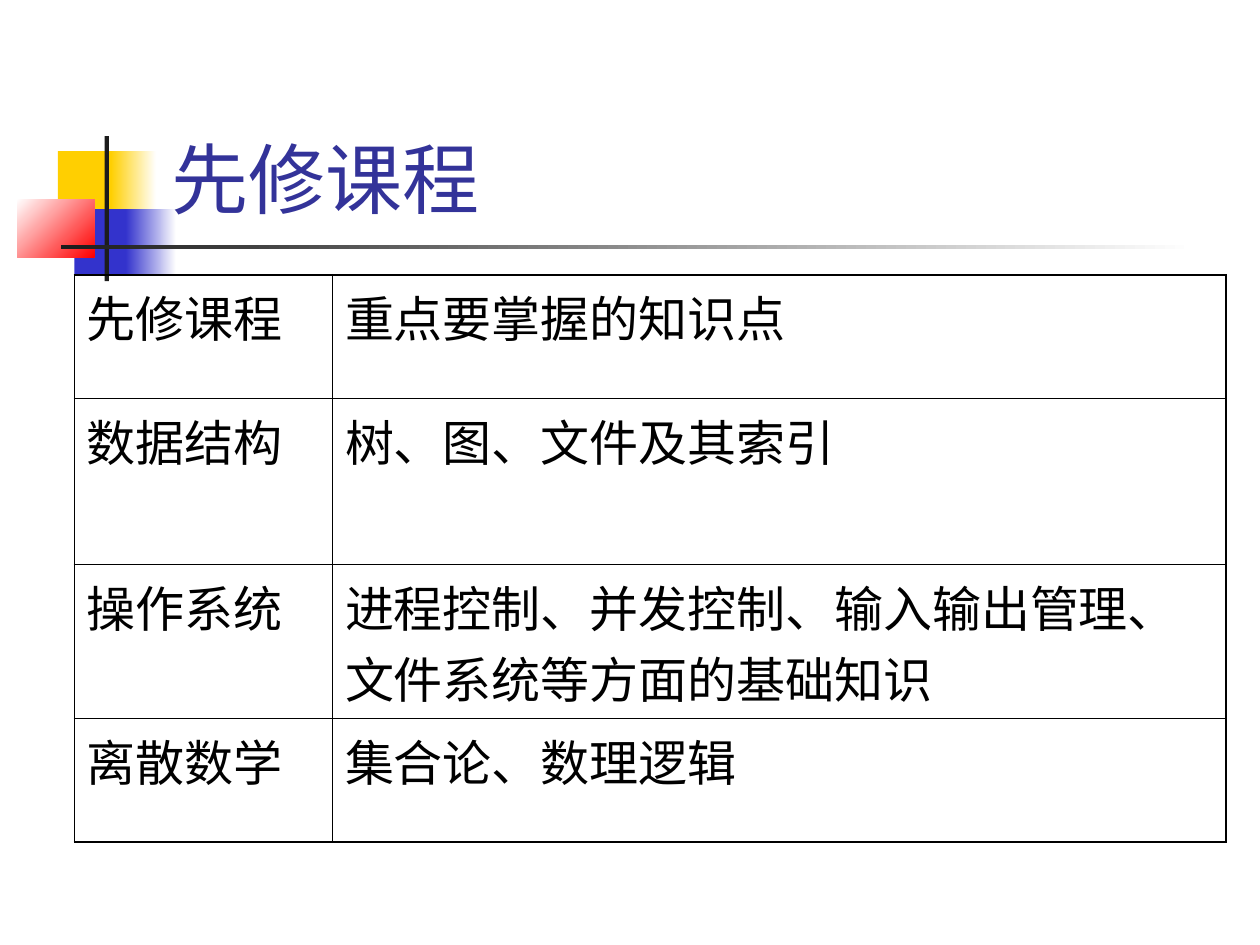
"""Build the slide that lists the prerequisite courses and their key topics."""
from dataclasses import dataclass
from typing import Optional

from lxml import etree
from pptx import Presentation
from pptx.dml.color import RGBColor
from pptx.enum.shapes import MSO_SHAPE
from pptx.enum.text import MSO_ANCHOR, MSO_AUTO_SIZE, PP_ALIGN
from pptx.oxml.ns import qn
from pptx.util import Pt

RECTANGLE = MSO_SHAPE.RECTANGLE
BOTTOM = MSO_ANCHOR.BOTTOM
TOP = MSO_ANCHOR.TOP
LEFT = PP_ALIGN.LEFT
NO_AUTOFIT = MSO_AUTO_SIZE.NONE

WHITE = RGBColor(0xFF, 0xFF, 0xFF)
BLACK = RGBColor(0x00, 0x00, 0x00)
YELLOW = RGBColor(0xFF, 0xCF, 0x01)
BLUE = RGBColor(0x33, 0x33, 0xCC)
RED = RGBColor(0xFF, 0x00, 0x00)
CHARCOAL = RGBColor(0x1C, 0x1C, 0x1C)
TITLE_BLUE = RGBColor(0x33, 0x33, 0x99)

FONT = "Karla"
OUTER_LINE = 1.08
INNER_LINE = 0.45


@dataclass
class Block:
    left: float
    top: float
    width: float
    height: float
    color: RGBColor
    fade_to: Optional[RGBColor] = None
    angle: float = 0


BLOCKS = [
    Block(33.1, 86.4, 34.6, 37.4, YELLOW),
    Block(63.4, 86.4, 25.9, 37.4, YELLOW, WHITE),
    Block(42.5, 119.5, 33.1, 37.4, BLUE),
    Block(72, 119.5, 28.8, 37.4, BLUE, WHITE),
    Block(10, 113.8, 44, 33.1, WHITE, RED, 315),
    Block(59.8, 77.8, 2.4, 82.8, CHARCOAL),
    Block(34.6, 140.1, 648, 2.4, CHARCOAL, WHITE),
]

COURSES = [
    ("先修课程", "重点要掌握的知识点"),
    ("数据结构", "树、图、文件及其索引"),
    ("操作系统", "进程控制、并发控制、输入输出管理、文件系统等方面的基础知识"),
    ("离散数学", "集合论、数理逻辑"),
]
COLUMN_WIDTHS = [147.5, 510.5]
ROW_HEIGHTS = [70.5, 95, 88, 70.5]


def draw_block(page, block: Block) -> None:
    shape = page.shapes.add_shape(
        RECTANGLE, Pt(block.left), Pt(block.top), Pt(block.width), Pt(block.height)
    )
    shape.shadow.inherit = False
    shape.line.fill.background()
    if block.fade_to is None:
        shape.fill.solid()
        shape.fill.fore_color.rgb = block.color
        return
    shape.fill.gradient()
    shape.fill.gradient_angle = block.angle
    for stop, color in zip(shape.fill.gradient_stops, (block.color, block.fade_to)):
        stop.color.rgb = color


def format_text(para, size: float, color: RGBColor) -> None:
    para.alignment = LEFT
    for span in para.runs:
        span.font.name = FONT
        span.font.size = Pt(size)
        span.font.bold = False
        span.font.color.rgb = color


def draw_title(page, text: str) -> None:
    title = page.shapes.title
    title.left, title.top = Pt(90.7), Pt(16.6)
    title.width, title.height = Pt(613.4), Pt(115.2)
    frame = title.text_frame
    frame.text = text
    frame.word_wrap = True
    frame.auto_size = NO_AUTOFIT
    frame.vertical_anchor = BOTTOM
    format_text(frame.paragraphs[0], 44, TITLE_BLUE)
    page.shapes.element.append(title.element)


def add_border(cell, side: str, width: float) -> None:
    properties = cell._tc.get_or_add_tcPr()
    line = etree.SubElement(properties, qn(f"a:ln{side}"), w=str(int(Pt(width))))
    fill = etree.SubElement(line, qn("a:solidFill"))
    etree.SubElement(fill, qn("a:srgbClr"), val=str(BLACK))


def draw_cell(cell, text: str, outer_sides: dict[str, bool]) -> None:
    cell.text_frame.text = text
    cell.vertical_anchor = TOP
    para = cell.text_frame.paragraphs[0]
    para.space_before = Pt(7)
    format_text(para, 28, BLACK)
    for side, is_outer in outer_sides.items():
        add_border(cell, side, OUTER_LINE if is_outer else INNER_LINE)
    cell.fill.background()


def draw_table(page) -> None:
    table = page.shapes.add_table(
        len(ROW_HEIGHTS), len(COLUMN_WIDTHS), Pt(42.5), Pt(157),
        Pt(sum(COLUMN_WIDTHS)), Pt(sum(ROW_HEIGHTS)),
    ).table
    table.first_row = False
    table.horz_banding = False
    for column, width in zip(table.columns, COLUMN_WIDTHS):
        column.width = Pt(width)
    for row, height in zip(table.rows, ROW_HEIGHTS):
        row.height = Pt(height)
    last_row, last_column = len(ROW_HEIGHTS) - 1, len(COLUMN_WIDTHS) - 1
    for r, course in enumerate(COURSES):
        for c, text in enumerate(course):
            outer_sides = {
                "L": c == 0, "R": c == last_column, "T": r == 0, "B": r == last_row,
            }
            draw_cell(table.cell(r, c), text, outer_sides)


def main() -> None:
    deck = Presentation()
    deck.slide_width, deck.slide_height = Pt(720), Pt(540)
    page = deck.slides.add_slide(deck.slide_layouts[5])
    for block in BLOCKS:
        draw_block(page, block)
    draw_title(page, "先修课程")
    draw_table(page)
    deck.save("out.pptx")


if __name__ == "__main__":
    main()
